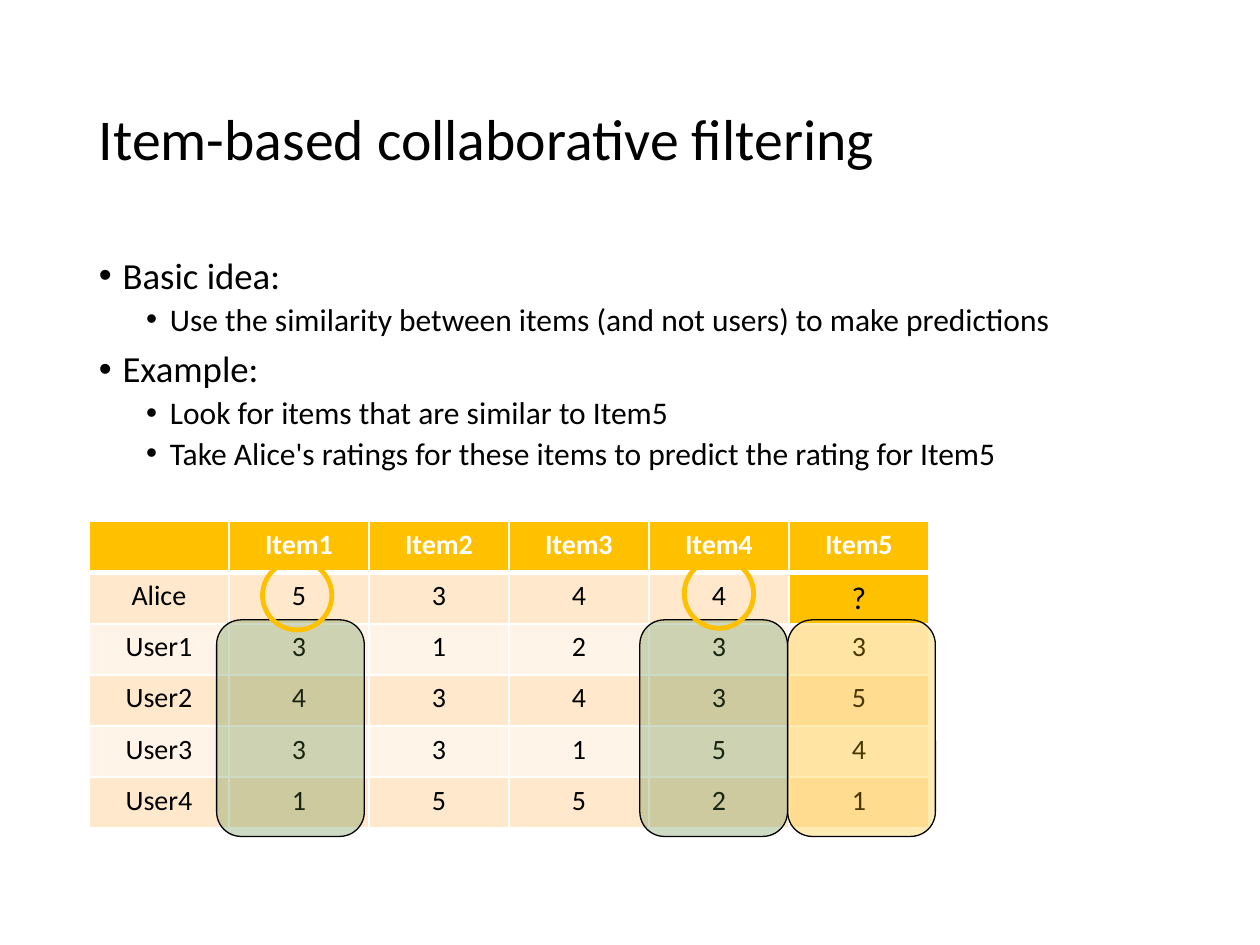
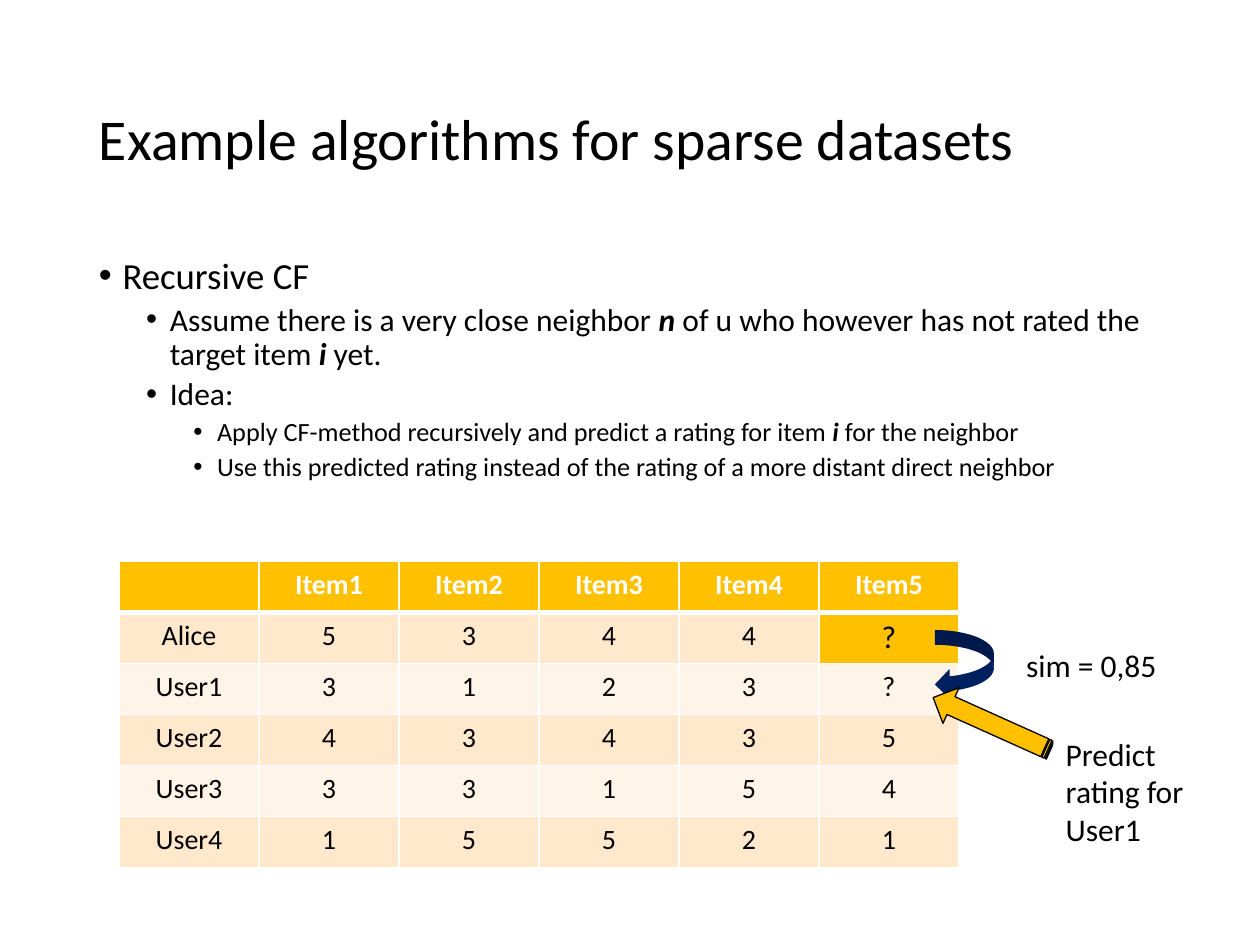
from lxml.etree import SubElement
from pptx import Presentation
from pptx.dml.color import RGBColor
from pptx.enum.shapes import MSO_SHAPE
from pptx.enum.text import MSO_ANCHOR, PP_ALIGN
from pptx.oxml.ns import qn
from pptx.util import Pt

AMBER, GREEN, NAVY = "FFC000", "548235", "002060"
BLACK, WHITE = "000000", "FFFFFF"
BANDS = ["FFF4E7", "FFE8CC"]
FONT = "Calibri"
BODY_SIZES = [21, 18, 15]
COLUMN_WIDTH, ROW_HEIGHT = 80, 29.2


def style(paragraph, size, color=BLACK, bold=False):
    for run in paragraph.runs:
        run.font.name = FONT
        run.font.size = Pt(size)
        run.font.bold = bold
        run.font.color.rgb = RGBColor.from_string(color)


def add_mark(slide, kind, left, top, width, height, fill=None, line=None, weight=0.75, opacity=100):
    mark = slide.shapes.add_shape(kind, Pt(left), Pt(top), Pt(width), Pt(height))
    mark.shadow.inherit = False
    if fill:
        mark.fill.solid()
        mark.fill.fore_color.rgb = RGBColor.from_string(fill)
        if opacity < 100:
            fill_color = mark._element.spPr.find(qn("a:solidFill"))[0]
            SubElement(fill_color, qn("a:alpha"), val=str(opacity * 1000))
    else:
        mark.fill.background()
    if line:
        mark.line.color.rgb = RGBColor.from_string(line)
        mark.line.width = Pt(weight)
    else:
        mark.line.fill.background()
    return mark


header = ["", "Item1", "Item2", "Item3", "Item4", "Item5"]
ratings = [
    header,
    ["Alice", "5", "3", "4", "4", "?"],
    ["User1", "3", "1", "2", "3", "3"],
    ["User2", "4", "3", "4", "3", "5"],
    ["User3", "3", "3", "1", "5", "4"],
    ["User4", "1", "5", "5", "2", "1"],
]
sparse_ratings = [list(row) for row in ratings]
sparse_ratings[2][5] = "?"

pages = [
    (
        "Item-based collaborative filtering",
        [
            (0, "Basic idea:"),
            (1, "Use the similarity between items (and not users) to make predictions"),
            (0, "Example:"),
            (1, "Look for items that are similar to Item5"),
            (1, "Take Alice's ratings for these items to predict the rating for Item5"),
        ],
        ratings, 50.8, 298.1,
    ),
    (
        "Example algorithms for sparse datasets",
        [
            (0, "Recursive CF"),
            (1, "Assume there is a very close neighbor *n* of u who however has not rated the target item *i* yet."),
            (1, "Idea:"),
            (2, "Apply CF-method recursively and predict a rating for item *i* for the neighbor"),
            (2, "Use this predicted rating instead of the rating of a more distant direct neighbor"),
        ],
        sparse_ratings, 68, 320.7,
    ),
]

deck = Presentation()
deck.slide_width, deck.slide_height = Pt(720), Pt(540)
slides = []

for heading, points, grid, grid_left, grid_top in pages:
    slide = deck.slides.add_slide(deck.slide_layouts[6])
    slides.append(slide)

    title = slide.shapes.add_textbox(Pt(49.5), Pt(28.75), Pt(621), Pt(104.4)).text_frame
    title.word_wrap = True
    title.vertical_anchor = MSO_ANCHOR.MIDDLE
    title.text = heading
    title.paragraphs[0].line_spacing = 0.9
    style(title.paragraphs[0], 33)

    body = slide.shapes.add_textbox(Pt(49.5), Pt(143.75), Pt(621), Pt(342.6)).text_frame
    body.word_wrap = True
    for index, (level, text) in enumerate(points):
        point = body.add_paragraph() if index else body.paragraphs[0]
        for part, words in enumerate(text.split("*")):
            run = point.add_run()
            run.text = words
        style(point, BODY_SIZES[level])
        for emphasis in point.runs[1::2]:
            emphasis.font.bold = emphasis.font.italic = True
        point.level = level
        point.line_spacing = 0.9
        point.space_before = Pt(3.75 if level else 7.5)
        properties = point._p.get_or_add_pPr()
        properties.set("marL", str(Pt(13.5 + 27 * level)))
        properties.set("indent", str(Pt(-13.5)))
        SubElement(properties, qn("a:buFont"), typeface="Arial")
        SubElement(properties, qn("a:buChar"), char="•")

    table = slide.shapes.add_table(
        len(grid), len(header), Pt(grid_left), Pt(grid_top),
        Pt(COLUMN_WIDTH * len(header)), Pt(ROW_HEIGHT * len(grid)),
    ).table
    for column in table.columns:
        column.width = Pt(COLUMN_WIDTH)
    for r, row in enumerate(grid):
        table.rows[r].height = Pt(ROW_HEIGHT)
        for c, value in enumerate(row):
            cell = table.cell(r, c)
            target = (r, c) == (1, 5)
            cell.text = value
            paragraph = cell.text_frame.paragraphs[0]
            paragraph.alignment = PP_ALIGN.CENTER
            style(paragraph, 18 if target else 16, BLACK if r else WHITE, r == 0)
            for side in "LRTB":
                thick = (side, r) in [("B", 0), ("T", 1)]
                border = SubElement(cell._tc.get_or_add_tcPr(), qn(f"a:ln{side}"), w=str(Pt(3 if thick else 1)))
                SubElement(SubElement(border, qn("a:solidFill")), qn("a:srgbClr"), val=WHITE)
            cell.fill.solid()
            cell.fill.fore_color.rgb = RGBColor.from_string(AMBER if r == 0 or target else BANDS[r % 2])

item_slide, sparse_slide = slides

for left, color in [(450.1, AMBER), (123.8, GREEN), (365.6, GREEN)]:
    add_mark(item_slide, MSO_SHAPE.ROUNDED_RECTANGLE, left, 354.2, 84.4, 123.8, color, BLACK, opacity=29)
for left, top in [(150, 320.4), (391, 319.4)]:
    add_mark(item_slide, MSO_SHAPE.OVAL, left, top, 39.6, 39.6, line=AMBER, weight=2.75)

add_mark(sparse_slide, MSO_SHAPE.CURVED_LEFT_ARROW, 534.2, 360, 33.8, 39.6, NAVY)

similarity = sparse_slide.shapes.add_textbox(Pt(579.3), Pt(365.8), Pt(90), Pt(28.8)).text_frame
similarity.word_wrap = False
similarity.text = "sim = 0,85"
style(similarity.paragraphs[0], 18)

prediction_arrow = add_mark(
    sparse_slide, MSO_SHAPE.STRIPED_RIGHT_ARROW, 530, 402.5, 73.4, 22.3, AMBER, BLACK)
prediction_arrow.rotation = 204.2

prediction = add_mark(sparse_slide, MSO_SHAPE.RECTANGLE, 601.9, 416.2, 95.8, 72.7, WHITE).text_frame
prediction.word_wrap = True
prediction.vertical_anchor = MSO_ANCHOR.TOP
prediction.text = "Predict rating for\nUser1"
for paragraph in prediction.paragraphs:
    paragraph.alignment = PP_ALIGN.LEFT
    style(paragraph, 18)

deck.save("out.pptx")
